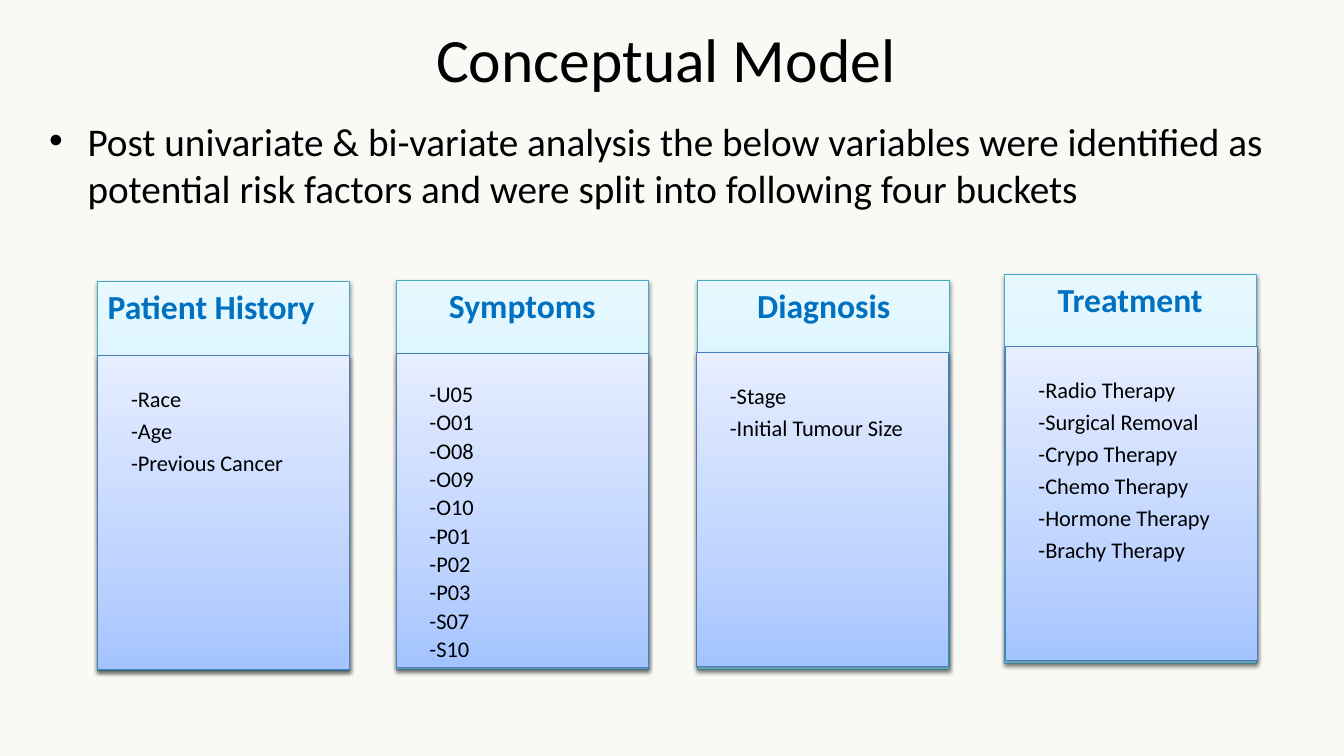
from copy import deepcopy
from dataclasses import dataclass

from pptx import Presentation
from pptx.dml.color import RGBColor
from pptx.enum.shapes import MSO_SHAPE as Geom
from pptx.enum.text import MSO_ANCHOR as Anchor, PP_ALIGN as Align
from pptx.oxml import parse_xml
from pptx.oxml.ns import nsdecls, qn
from pptx.util import Inches, Pt

SHADE = f"""<a:effectLst {nsdecls('a')}>
  <a:outerShdw blurRad="39370" dist="20320" dir="5400000" rotWithShape="0">
    <a:srgbClr val="000000"><a:alpha val="38000"/></a:srgbClr>
  </a:outerShdw>
</a:effectLst>"""


@dataclass
class Skin:
    stops: tuple[str, str, str]
    line: str


@dataclass
class Bucket:
    name: str
    items: list[str]
    head: tuple[float, float]
    body: tuple[float, float]
    align: Align = Align.CENTER
    inset: float = 0.32
    after: float = 5.6


CYAN = Skin(("A7E6FF", "C1EDFF", "E7F8FF"), "46AAC5")
BLUE = Skin(("A4C4FF", "BFD4FF", "E6EEFF"), "4B7EBC")
WIDE, TALL, DEEP = 2.5, 3.86, 3.11

BUCKETS = [
    Bucket("Patient History", ["Race", "Age", "Previous Cancer"],
           (0.97, 2.79), (0.97, 3.53), align=Align.LEFT),
    Bucket("Symptoms", ["U05", "O01", "O08", "O09", "O10",
                        "P01", "P02", "P03", "S07", "S10"],
           (3.93, 2.78), (3.93, 3.51), inset=0.29, after=3),
    Bucket("Diagnosis", ["Stage", "Initial Tumour Size"],
           (6.92, 2.78), (6.91, 3.5)),
    Bucket("Treatment", ["Radio Therapy", "Surgical Removal", "Crypo Therapy",
                         "Chemo Therapy", "Hormone Therapy", "Brachy Therapy"],
           (9.96, 2.72), (9.97, 3.44)),
]


def tint(code: str) -> RGBColor:
    return RGBColor.from_string(code)


def place(shape, left: float, top: float, width: float, height: float) -> None:
    shape.left, shape.top = Inches(left), Inches(top)
    shape.width, shape.height = Inches(width), Inches(height)


def write(shape, lines: list[str], size: float, color: str = "000000",
          bold: bool = False, align: Align = Align.LEFT,
          anchor: Anchor = Anchor.TOP, space: float = 1.0, after: float = 0,
          inset: tuple[float, float, float, float] = (0.1, 0.05, 0.1, 0.05)) -> None:
    frame = shape.text_frame
    frame.word_wrap = True
    frame.vertical_anchor = anchor
    (frame.margin_left, frame.margin_top,
     frame.margin_right, frame.margin_bottom) = map(Inches, inset)
    frame.text = "\n".join(lines)
    for para in frame.paragraphs:
        para.alignment = align
        para.line_spacing = space
        para.space_before, para.space_after = Pt(0), Pt(after)
        font = para.runs[0].font
        font.name, font.size, font.bold = "Calibri", Pt(size), bold
        font.color.rgb = tint(color)


def panel(slide, spot: tuple[float, float], height: float, skin: Skin):
    shape = slide.shapes.add_shape(
        Geom.RECTANGLE, *map(Inches, (*spot, WIDE, height)))
    shape.fill.gradient()
    shape.fill.gradient_angle = 90
    last = list(shape._element.spPr.iter(qn("a:gs")))[-1]
    last.addprevious(deepcopy(last))
    for stop, code, part in zip(shape.fill.gradient_stops, skin.stops, (0, 0.35, 1)):
        stop.color.rgb = tint(code)
        stop.position = part
    shape.line.color.rgb = tint(skin.line)
    shape.line.width = Pt(0.75)
    shape._element.spPr.append(parse_xml(SHADE))
    return shape


def veil(slide, width: int, height: int) -> None:
    shape = slide.shapes.add_shape(Geom.RECTANGLE, 0, 0, width, height)
    shape.shadow.inherit = False
    shape.fill.solid()
    shape.fill.fore_color.rgb = tint("FFFFFF")
    shape.line.fill.background()
    color = next(shape._element.spPr.iter(qn("a:srgbClr")))
    color.append(parse_xml(f'<a:alpha {nsdecls("a")} val="70000"/>'))
    slide.shapes._spTree.insert(2, shape._element)


def bullet(para) -> None:
    props = para._p.get_or_add_pPr()
    props.set("marL", str(Inches(0.38)))
    props.set("indent", str(-Inches(0.38)))
    props.append(parse_xml(f'<a:buFont {nsdecls("a")} typeface="Arial"/>'))
    props.append(parse_xml(f'<a:buChar {nsdecls("a")} char="•"/>'))


def draw(slide, item: Bucket) -> None:
    head = panel(slide, item.head, TALL, CYAN)
    write(head, [item.name], 24, color="0070C0", bold=True, align=item.align)
    body = panel(slide, item.body, DEEP, BLUE)
    write(body, [f"-{name}" for name in item.items], 16, space=0.9,
          after=item.after, inset=(0.33, item.inset, 0.33, 0))


def main() -> None:
    deck = Presentation()
    deck.slide_width, deck.slide_height = Inches(13.33), Inches(7.5)
    slide = deck.slides.add_slide(deck.slide_layouts[5])
    ground = slide.background.fill
    ground.solid()
    ground.fore_color.rgb = tint("EEECE1")
    veil(slide, deck.slide_width, deck.slide_height)

    title = slide.shapes.title
    place(title, 0.74, 0.13, 11.73, 0.89)
    write(title, ["Conceptual Model"], 44, align=Align.CENTER, anchor=Anchor.MIDDLE)

    intro = slide.shapes.add_textbox(*map(Inches, (0.39, 1.11, 12.66, 6.23)))
    write(intro, ["Post univariate & bi-variate analysis the below variables were "
                  "identified as potential risk factors and were split into "
                  "following four buckets"], 28)
    bullet(intro.text_frame.paragraphs[0])

    for item in BUCKETS:
        draw(slide, item)
    deck.save("out.pptx")


if __name__ == "__main__":
    main()
